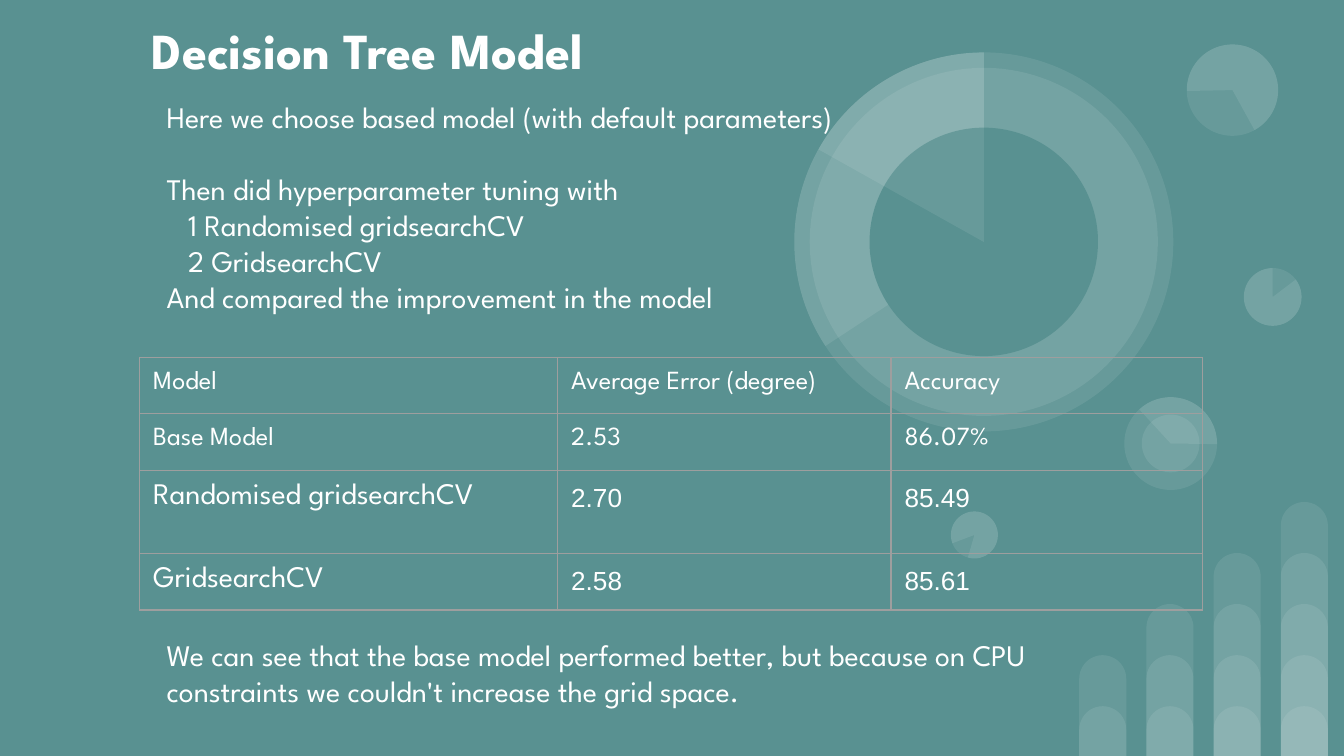
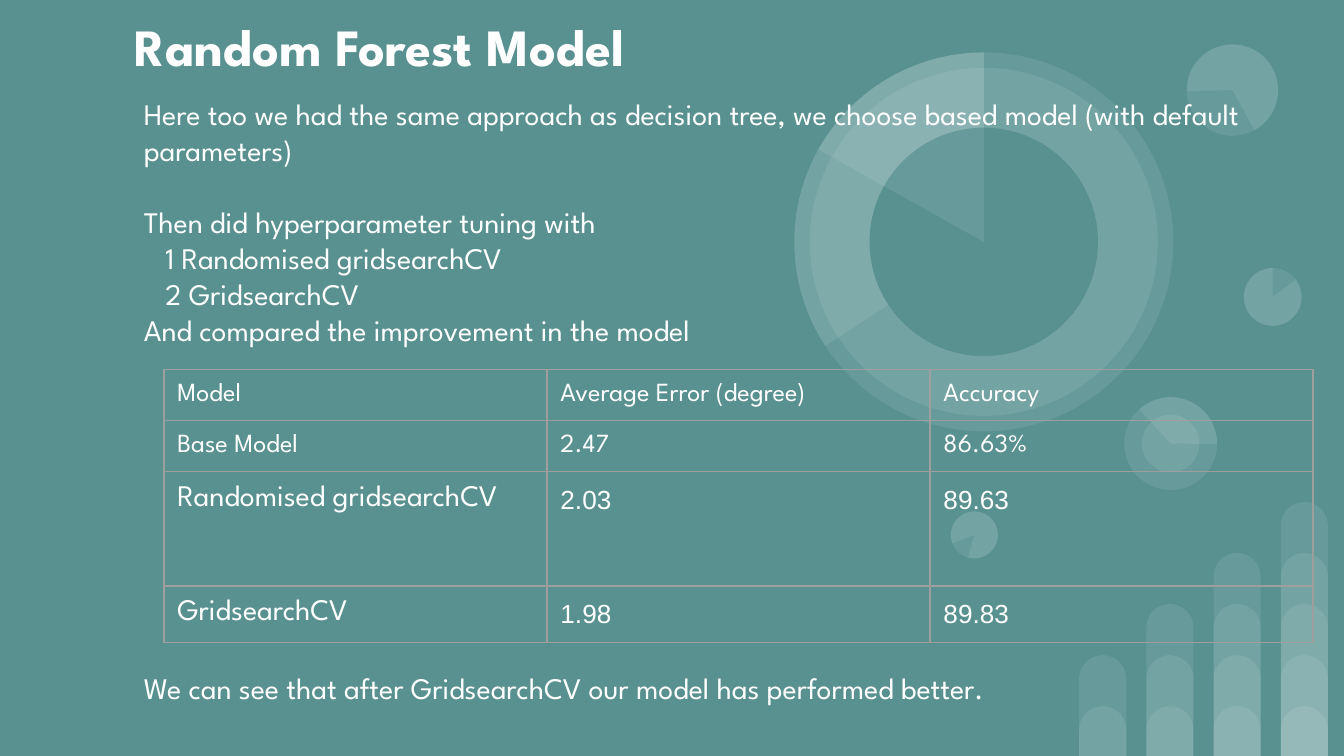
from lxml.etree import SubElement
from pptx import Presentation
from pptx.dml.color import RGBColor
from pptx.enum.shapes import MSO_SHAPE as Preset
from pptx.enum.text import MSO_ANCHOR as Anchor, MSO_AUTO_SIZE as AutoSize, PP_ALIGN as Align
from pptx.oxml.ns import qn
from pptx.util import Inches, Pt

WIDTH = 10
HEIGHT = WIDTH * 9 / 16
TEAL, WHITE, GREY = "599191", "FFFFFF", "9E9E9E"
DISPLAY, PLAIN = "League Spartan", "Arial"
INSET = 0.1
LINE = 19.3
TABLE_GAP = 172.5
STEP_INDENT = 0.16
VEIL = 9

HEADINGS = ("Model", "Average Error (degree)", "Accuracy")
MODELS = ("Base Model", "Randomised gridsearchCV", "GridsearchCV")
STEPS = (
    ("Then did hyperparameter tuning with", LINE, 0),
    ("1 Randomised gridsearchCV", 0, STEP_INDENT),
    ("2 GridsearchCV", 0, STEP_INDENT),
    ("And compared the improvement in the model", 0, 0),
)

PAGES = [
    {
        "title": "Decision Tree Model",
        "title_size": 27,
        "title_box": (1.03, 0.07, 6.17, 0.53),
        "intro": "Here we choose based model (with default parameters)",
        "finding": "We can see that the base model performed better, but because on CPU "
                   "constraints we couldn't increase the grid space.",
        "body_box": (1.14, 0.63, 6.73, 4.8),
        "scores": (("2.53", "86.07%"), ("2.70", "85.49"), ("2.58", "85.61")),
        "table_corner": (1.04, 2.66),
        "columns": (3.11, 2.48, 2.32),
        "rows": (0.42, 0.42, 0.62, 0.42),
    },
    {
        "title": "Random Forest Model",
        "title_size": 28,
        "title_box": (0.9, 0.04, 4.98, 0.53),
        "intro": "Here too we had the same approach as decision tree, we choose based model "
                 "(with default parameters)",
        "finding": "We can see that after GridsearchCV our model has performed better.",
        "body_box": (0.97, 0.61, 8.92, 3.99),
        "scores": (("2.47", "86.63%"), ("2.03", "89.63"), ("1.98", "89.83")),
        "table_corner": (1.22, 2.75),
        "columns": (2.85,) * 3,
        "rows": (0.38, 0.38, 0.85, 0.42),
    },
]

BAR_COUNT, BAR_LEFT, BAR_PITCH, BAR_WIDTH = 4, 8.03, 0.5, 0.35
BAR_BASE, BAR_RISE = 0.37, 0.38

DISCS = [
    (9.47, 2.21, 0.43, 0, None, WHITE, VEIL),
    (9.47, 2.21, 0.43, 0, (322.95, 270), WHITE, VEIL),
    (7.25, 3.98, 0.35, 196.2, None, WHITE, VEIL),
    (7.25, 3.98, 0.35, 196.2, (322.95, 270), WHITE, VEIL),
    (8.71, 3.3, 0.69, 90, None, WHITE, VEIL),
    (8.71, 3.3, 0.69, 90, (137.41, 270.77), WHITE, VEIL),
    (8.71, 3.3, 0.43, 90, None, WHITE, VEIL),
    (9.17, 0.67, 0.68, 215.9, None, WHITE, VEIL),
    (9.17, 0.67, 0.68, 215.9, (322.95, 205.23), WHITE, VEIL),
    (7.32, 1.8, 2.82, 0, None, WHITE, VEIL),
    (7.32, 1.8, 2.59, 34.1, None, WHITE, VEIL),
    (7.32, 1.8, 2.82, 0, (146.69, 270), WHITE, VEIL),
    (7.32, 1.8, 1.7, 34.1, None, TEAL, 100),
    (7.32, 1.8, 2.82, 0, (209.24, 270), WHITE, VEIL),
]


def colour(code):
    return RGBColor.from_string(code)


def inches(lengths):
    return [Inches(length) for length in lengths]


def paint(shape, code, opacity):
    shape.shadow.inherit = False
    shape.fill.solid()
    shape.fill.fore_color.rgb = colour(code)
    shape.line.fill.background()
    if opacity < 100:
        tint = shape.element.spPr.find(qn("a:solidFill"))[0]
        SubElement(tint, qn("a:alpha")).set("val", str(opacity * 1000))


def place(placeholder, box, anchor):
    placeholder.left, placeholder.top, placeholder.width, placeholder.height = inches(box)
    frame = placeholder.text_frame
    frame.word_wrap = True
    frame.auto_size = AutoSize.NONE
    frame.vertical_anchor = anchor
    frame.margin_left = frame.margin_right = frame.margin_top = frame.margin_bottom = Inches(INSET)
    return frame


def write(paragraph, text, size, font=DISPLAY, bold=False):
    paragraph.text = text
    paragraph.alignment = Align.LEFT
    paragraph.space_before = Pt(0)
    for run in paragraph.runs:
        run.font.size = Pt(size)
        run.font.name = font
        run.font.bold = bold
        run.font.color.rgb = colour(WHITE)


def draw_bars(group):
    for column in range(BAR_COUNT):
        for level in range(column + 2):
            height = BAR_BASE + level * BAR_RISE
            bar = group.shapes.add_shape(Preset.ROUND_2_SAME_RECTANGLE, *inches(
                (BAR_LEFT + column * BAR_PITCH, HEIGHT - height, BAR_WIDTH, height)))
            bar.adjustments[0], bar.adjustments[1] = 0.5, 0
            paint(bar, WHITE, VEIL)


def draw_discs(group):
    for x, y, diameter, rotation, angles, code, opacity in DISCS:
        preset = Preset.PIE if angles else Preset.OVAL
        disc = group.shapes.add_shape(preset, *inches(
            (x - diameter / 2, y - diameter / 2, diameter, diameter)))
        for index, angle in enumerate(angles or ()):
            disc.adjustments[index] = angle * 0.6
        disc.rotation = rotation
        paint(disc, code, opacity)


def decorate(layout, slide):
    layout.background.fill.solid()
    layout.background.fill.fore_color.rgb = colour(TEAL)
    for placeholder in list(layout.placeholders):
        if placeholder.placeholder_format.idx >= 10:
            placeholder.element.getparent().remove(placeholder.element)
    groups = []
    for draw in (draw_bars, draw_discs):
        group = slide.shapes.add_group_shape()
        draw(group)
        groups.append(group)
    for group in groups:
        layout.shapes.element.append(group.element)


def add_body(slide, page):
    frame = place(slide.placeholders[1], page["body_box"], Anchor.TOP)
    lines = ((page["intro"], 0, 0), *STEPS, (page["finding"], TABLE_GAP, 0))
    for number, (text, gap, indent) in enumerate(lines):
        paragraph = frame.add_paragraph() if number else frame.paragraphs[0]
        write(paragraph, text, 16)
        paragraph.line_spacing = Pt(LINE)
        paragraph.space_before = Pt(gap)
        properties = paragraph._p.get_or_add_pPr()
        properties.set("marL", str(Inches(indent)))
        properties.set("indent", "0")


def outline(cell):
    properties = cell._tc.get_or_add_tcPr()
    for position, side in enumerate(("lnL", "lnR", "lnT", "lnB")):
        border = SubElement(properties, qn(f"a:{side}"), w=str(Pt(0.75)))
        fill = SubElement(border, qn("a:solidFill"))
        SubElement(fill, qn("a:srgbClr"), val=GREY)
        properties.insert(position, border)


def add_results(slide, page):
    columns, rows = page["columns"], page["rows"]
    results = [HEADINGS] + [(model, *scores) for model, scores in zip(MODELS, page["scores"])]
    table = slide.shapes.add_table(len(rows), len(columns), *inches(
        (*page["table_corner"], sum(columns), sum(rows)))).table
    table.first_row = table.horz_banding = False
    for column, width in zip(table.columns, columns):
        column.width = Inches(width)
    for row, height in zip(table.rows, rows):
        row.height = Inches(height)
    for r, result in enumerate(results):
        for c, text in enumerate(result):
            cell = table.cell(r, c)
            tuned = r >= 2
            write(cell.text_frame.paragraphs[0], text,
                  16 if tuned and c == 0 else 14,
                  PLAIN if tuned and c > 0 else DISPLAY)
            cell.margin_left = cell.margin_right = Inches(INSET)
            cell.margin_top = cell.margin_bottom = Inches(INSET)
            cell.fill.background()
            outline(cell)


def main():
    deck = Presentation()
    deck.slide_width, deck.slide_height = inches((WIDTH, HEIGHT))
    layout = deck.slide_layouts[0]
    for number, page in enumerate(PAGES):
        slide = deck.slides.add_slide(layout)
        if number == 0:
            decorate(layout, slide)
        heading = place(slide.shapes.title, page["title_box"], Anchor.MIDDLE).paragraphs[0]
        write(heading, page["title"], page["title_size"], bold=True)
        heading.line_spacing = 1.15
        add_body(slide, page)
        add_results(slide, page)
    deck.save("out.pptx")


if __name__ == "__main__":
    main()
